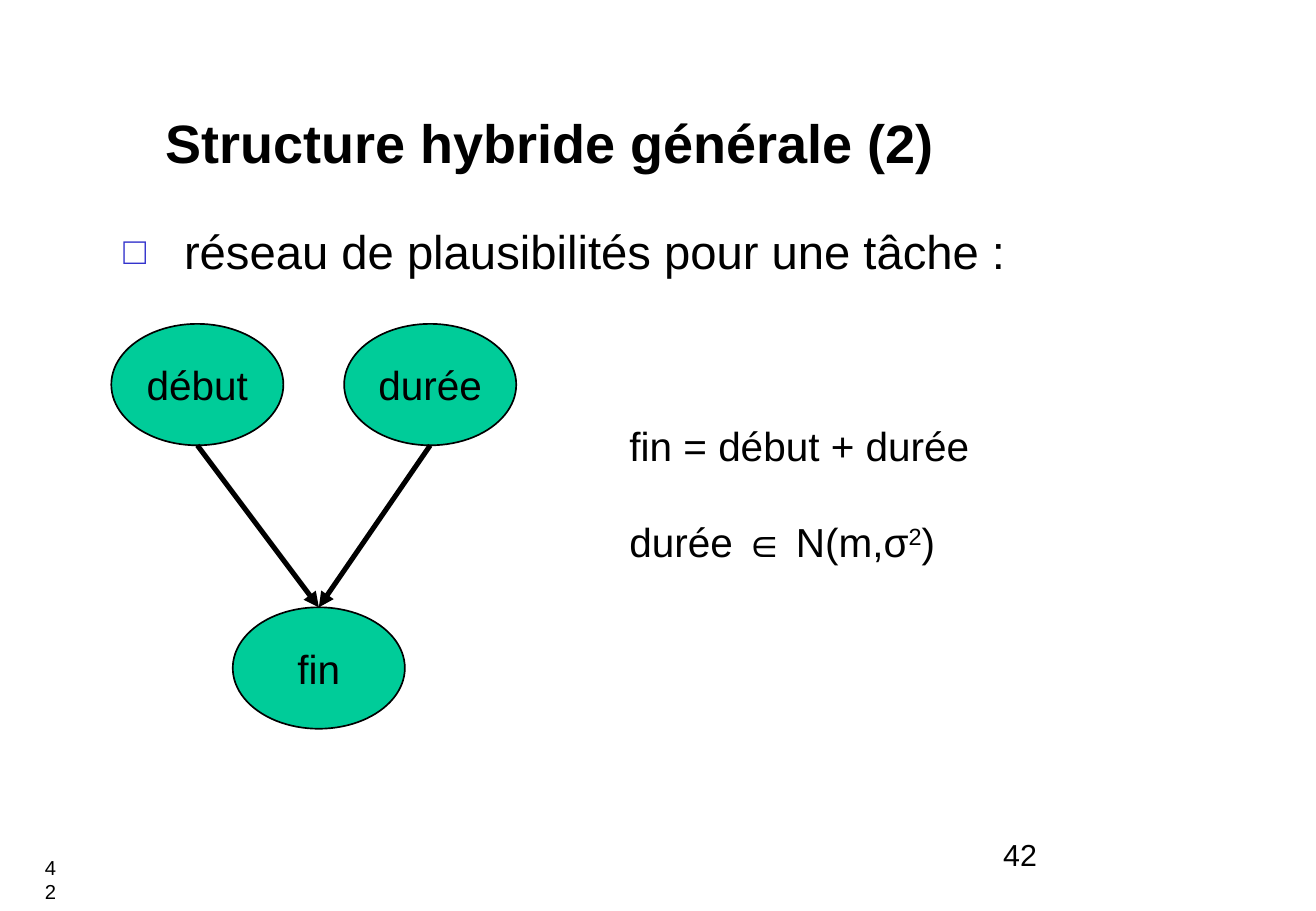
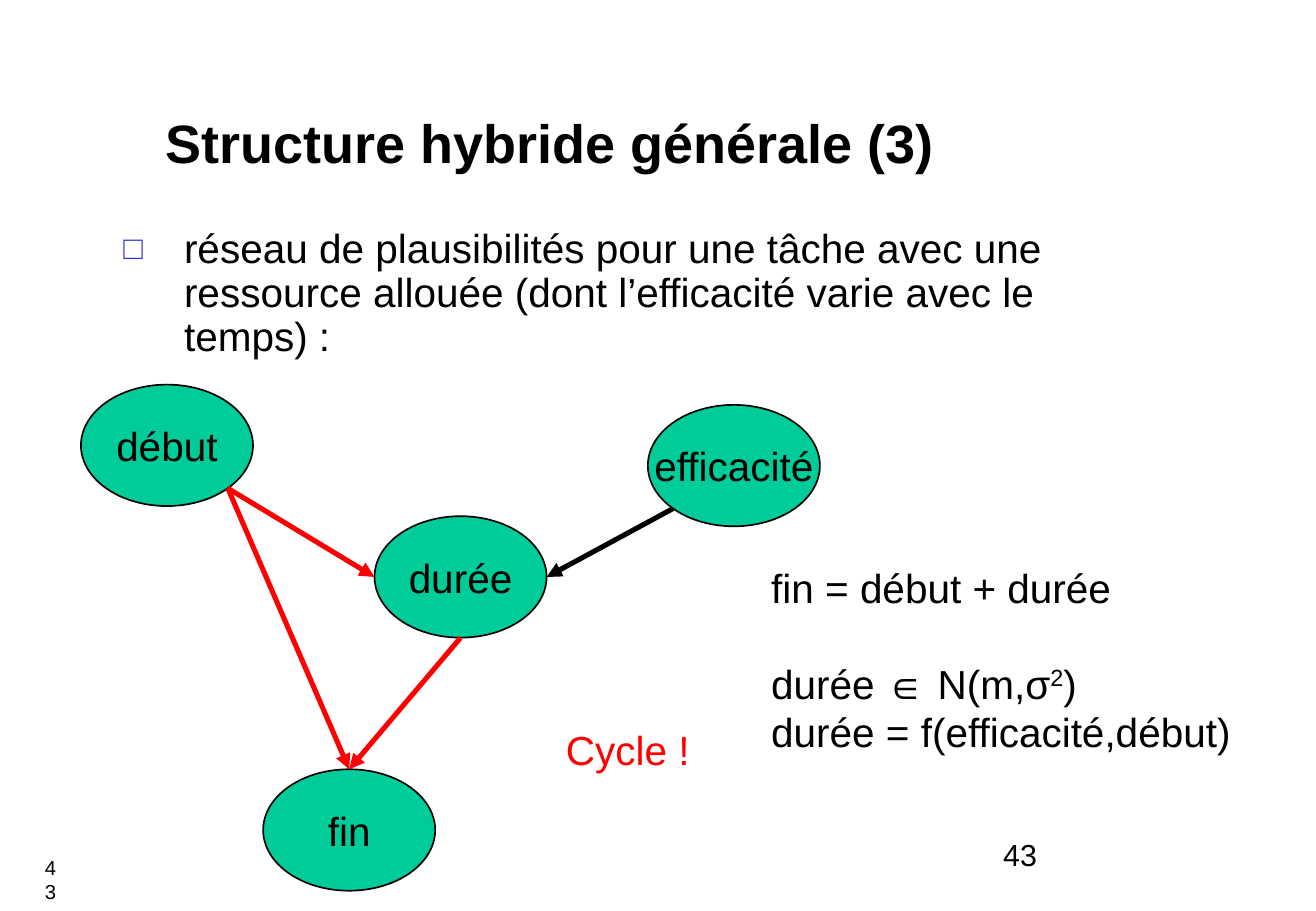
from math import sqrt

from lxml.etree import SubElement
from pptx import Presentation
from pptx.dml.color import RGBColor
from pptx.enum.shapes import MSO_CONNECTOR, MSO_SHAPE
from pptx.enum.text import MSO_ANCHOR, PP_ALIGN
from pptx.oxml.ns import qn
from pptx.util import Pt

BLACK, RED, GREEN, BLUE = "000000", "FF0000", "00CC99", "3333CC"
NODE_W, NODE_H = 102, 72
D = sqrt(0.5)
TOP, BOTTOM, LEFT, RIGHT = (0, -1), (0, 1), (-1, 0), (1, 0)
LOWER_LEFT, LOWER_RIGHT = (-D, D), (D, D)
SUM = ["fin = début + durée"]
LAW = ["durée ∈ N(m,σ", "2", ")"]
EFFECT = ["durée = f(efficacité,début)"]


def rgb(color):
    return RGBColor.from_string(color)


class Deck:
    """Builds slides in one style, with all lengths in points."""

    font = {"name": "Arial", "size": Pt(24), "bold": False}
    title_font = {"size": Pt(32), "bold": True}

    def __init__(self, width, height):
        self.prs = Presentation()
        self.prs.slide_width, self.prs.slide_height = Pt(width), Pt(height)

    def page(self, title, number):
        self.s = self.prs.slides.add_slide(self.prs.slide_layouts[6])
        self.text(19.5, 503.5, 17, 24, [[number]], {"size": Pt(12)},
                  align=PP_ALIGN.CENTER)
        self.text(91, 54, 611, 60, [[title]], self.title_font,
                  anchor=MSO_ANCHOR.MIDDLE)
        self.text(587.5, 492, 163, 36, [[number]], {"size": Pt(18)})

    def run(self, p, text, fmt, color):
        r = p.add_run()
        r.text = text
        for name, value in {**self.font, **fmt}.items():
            setattr(r.font, name, value)
        r.font.color.rgb = rgb(color)
        return r

    def fill_text(self, sp, lines, fmt, color, align, anchor, wrap):
        tf = sp.text_frame
        tf.word_wrap, tf.vertical_anchor = wrap, anchor
        for i, parts in enumerate(lines):
            p = tf.add_paragraph() if i else tf.paragraphs[0]
            p.alignment = align
            for j, part in enumerate(parts):
                r = self.run(p, part, fmt, color)
                if j == 1:
                    r.font._element.set("baseline", "30000")
        return tf.paragraphs

    def text(self, x, y, w, h, lines, fmt={}, color=BLACK,
             align=PP_ALIGN.LEFT, anchor=MSO_ANCHOR.TOP):
        sp = self.s.shapes.add_textbox(Pt(x), Pt(y), Pt(w), Pt(h))
        return self.fill_text(sp, lines, fmt, color, align, anchor, True)

    def bullet(self, w, h, text, size, before):
        p = self.text(66, 132, w, h, [[text]], {"size": Pt(size)})[0]
        p.line_spacing, p.space_before = 0.9, Pt(before)
        pPr = p._p.get_or_add_pPr()
        pPr.set("marL", str(Pt(36)))
        pPr.set("indent", str(-Pt(36)))
        SubElement(SubElement(pPr, qn("a:buClr")), qn("a:srgbClr"), val=BLUE)
        SubElement(pPr, qn("a:buSzPct"), val="80000")
        SubElement(pPr, qn("a:buFont"), typeface="Arial")
        SubElement(pPr, qn("a:buChar"), char="□")

    def formulas(self, x, y, w, h, lines):
        self.text(x, y, w, h, lines)[1].space_before = Pt(28)

    def node(self, x, y, label):
        sp = self.s.shapes.add_shape(MSO_SHAPE.OVAL, Pt(x), Pt(y),
                                     Pt(NODE_W), Pt(NODE_H))
        sp.shadow.inherit = False
        sp.fill.solid()
        sp.fill.fore_color.rgb = rgb(GREEN)
        sp.line.color.rgb, sp.line.width = rgb(BLACK), Pt(1)
        self.fill_text(sp, [[label]], {}, BLACK, PP_ALIGN.CENTER,
                       MSO_ANCHOR.MIDDLE, False)
        return x + NODE_W / 2, y + NODE_H / 2

    def arrow(self, start, start_side, end, end_side, color=BLACK):
        ends = [Pt(c + d * size / 2)
                for node, side in ((start, start_side), (end, end_side))
                for c, d, size in zip(node, side, (NODE_W, NODE_H))]
        sp = self.s.shapes.add_connector(MSO_CONNECTOR.STRAIGHT, *ends)
        sp.line.color.rgb, sp.line.width = rgb(color), Pt(3)
        SubElement(sp.line._get_or_add_ln(), qn("a:tailEnd"), type="triangle")
        SubElement(sp._element.spPr, qn("a:effectLst"))


deck = Deck(780, 540)

deck.page("Structure hybride générale (2)", "42")
deck.bullet(552, 54, "réseau de plausibilités pour une tâche :", 28, 7)
debut = deck.node(66, 192, "début")
fin = deck.node(138, 360, "fin")
duree = deck.node(204, 192, "durée")
for node in (debut, duree):
    deck.arrow(node, BOTTOM, fin, TOP)
deck.formulas(366, 246, 216, 94, [SUM, LAW])

deck.page("Structure hybride générale (3)", "43")
deck.bullet(624, 96, "réseau de plausibilités pour une tâche avec une ressource "
            "allouée (dont l’efficacité varie avec le temps) :", 24, 6)
debut = deck.node(48, 228, "début")
fin = deck.node(156, 456, "fin")
duree = deck.node(222, 306, "durée")
deck.formulas(450, 330, 300, 122, [SUM, LAW, EFFECT])
efficacite = deck.node(384, 240, "efficacité")
deck.arrow(efficacite, LOWER_LEFT, duree, RIGHT)
deck.arrow(debut, LOWER_RIGHT, fin, TOP, RED)
deck.arrow(duree, BOTTOM, fin, TOP, RED)
deck.arrow(debut, LOWER_RIGHT, duree, LEFT, RED)
deck.text(324, 426, 96, 36, [["Cycle !"]], color=RED, align=PP_ALIGN.CENTER)

deck.prs.save("out.pptx")
